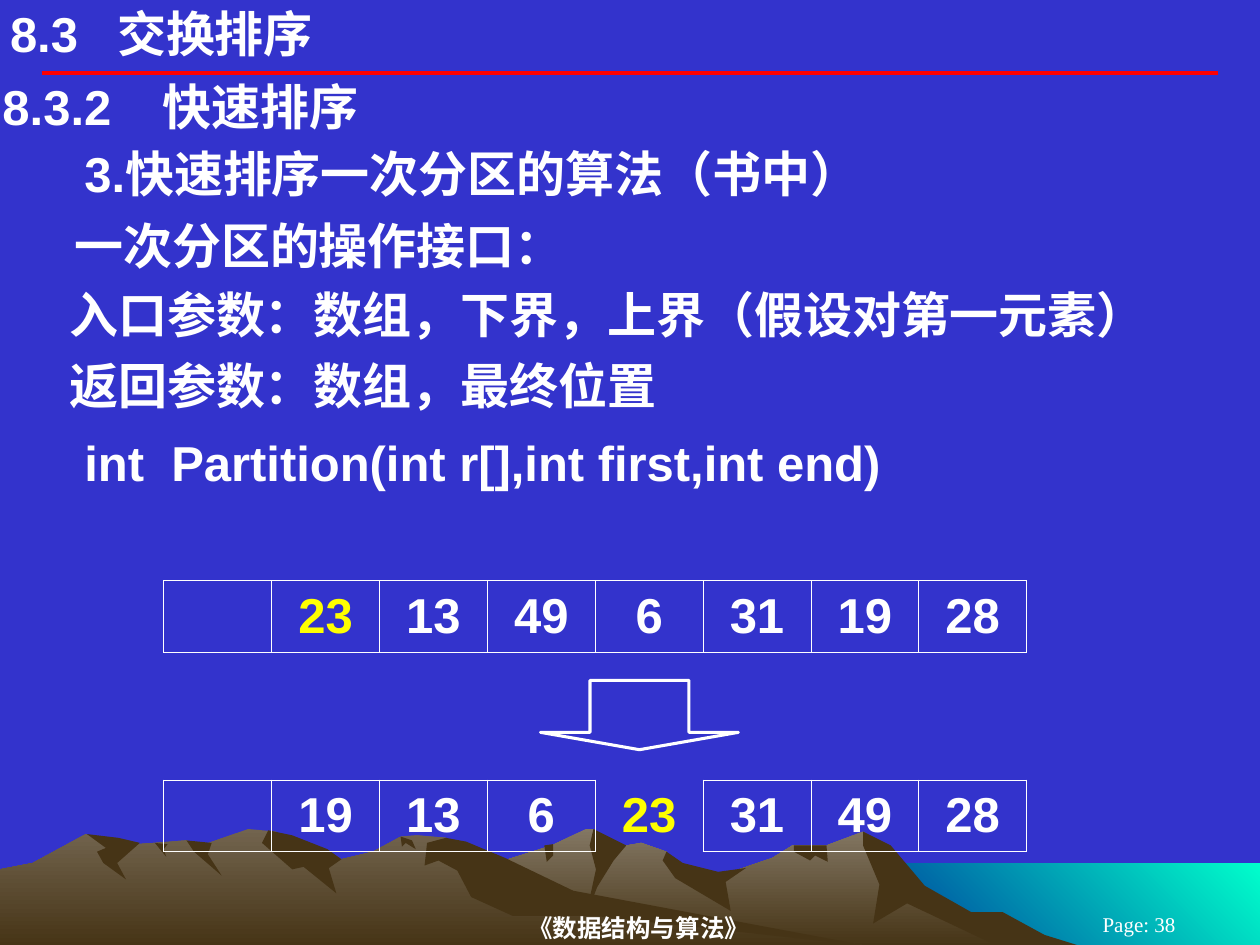
from lxml import etree
from pptx import Presentation
from pptx.dml.color import RGBColor
from pptx.enum.shapes import MSO_CONNECTOR, MSO_SHAPE
from pptx.enum.text import MSO_ANCHOR, PP_ALIGN
from pptx.oxml.ns import qn
from pptx.util import Inches, Pt

DOWN, BOX = MSO_SHAPE.DOWN_ARROW, MSO_SHAPE.RECTANGLE
LINE = MSO_CONNECTOR.STRAIGHT
TOP, MID = MSO_ANCHOR.TOP, MSO_ANCHOR.MIDDLE
LEFT, CENTER = PP_ALIGN.LEFT, PP_ALIGN.CENTER
WHITE, GOLD, RED, BLUE = "FFFFFF", "FFFF00", "FF0000", "3333CC"
BROWN, SAND, EARTH, AQUA, NAVY = "463416", "837763", "72644E", "00FFCC", "003399"
HEAD = {"name": "Arial", "size": Pt(28), "bold": True}
FOOT = {"name": "Times New Roman", "size": Pt(14), "bold": True}
PAGE = {"name": "Times New Roman", "size": Pt(12), "bold": False}

WIDE, HIGH, FLOOR = 10, 7.5, 7.51
SIDE, ROW = 1.3, 0.57
LATIN, HAN = 0.65, 0.53
PIVOT = "23"
BEFORE = ["", PIVOT, "13", "49", "6", "31", "19", "28"]
AFTER = ["", "19", "13", "6", PIVOT, "31", "49", "28"]

EAST = {
    "crest": [(2.58, FLOOR), (3.27, 7.09), (3.94, 6.85), (4.38, 6.71), (4.65, 6.58), (4.71, 6.58),
              (4.86, 6.73), (5.09, 6.69), (5.29, 6.76), (5.36, 6.9), (5.66, 6.97), (6.13, 6.81),
              (6.29, 6.71), (6.56, 6.71), (6.85, 6.6), (7.02, 6.71), (7.23, 6.98), (7.64, 7.23),
              (8.02, 7.4), (8.21, FLOOR)],
    "slope": [(6.85, 6.6), (7.07, 6.71), (7.34, 7.03), (7.71, 7.24), (7.96, 7.24), (8.29, 7.42),
              (8.58, FLOOR), (7.92, FLOOR), (7.2, 7.17), (6.93, 7.33), (6.98, 7.02), (6.85, 6.71)],
    "cliff": [(4.71, 6.58), (4.97, 6.71), (4.87, 6.83), (4.74, 7.04), (4.65, 7.27), (4.73, 6.9),
              (4.68, 6.71)],
    "gully": [(5.29, 6.76), (5.42, 6.85), (5.7, 6.92), (5.92, 6.89), (5.76, 7), (5.8, 7.23),
              (5.36, 6.97), (5.26, 6.83)],
    "notch": [(6.3, 6.71), (6.56, 6.71), (6.57, 6.84), (6.47, 6.79), (6.43, 6.83), (6.3, 6.76)],
    "crack": [(4.32, 6.71), (4.39, 6.7), (4.39, 6.79), (4.34, 6.84)],
}
WEST = {
    "crest": [(0, 6.9), (0.26, 6.85), (0.68, 6.62), (0.94, 6.71), (1.23, 6.69), (1.48, 6.67),
              (1.6, 6.71), (1.97, 6.58), (2.19, 6.6), (2.36, 6.81), (2.6, 6.76), (2.71, 6.82),
              (2.96, 6.76), (3.18, 6.64), (3.31, 6.63), (3.54, 6.65), (4.32, 7.12), (6.9, FLOOR)],
    "slope": [(3.54, 6.65), (3.7, 6.68), (4.01, 6.81), (4.55, 7.07), (6.9, FLOOR), (4.72, 7.27),
              (4.07, 7.27), (3.74, 7.12), (3.63, 6.91), (3.48, 6.83), (3.37, 6.87), (3.39, 6.69)],
    "cliff": [(2.13, 6.59), (2.32, 6.63), (2.6, 6.74), (2.71, 6.82), (2.61, 6.89), (2.67, 7.09),
              (2.41, 6.88), (2.32, 6.9), (2.08, 6.69)],
    "gully": [(0.69, 6.62), (0.94, 6.65), (1.11, 6.69), (0.93, 6.85), (1, 6.98), (0.82, 6.85),
              (0.77, 6.76), (0.84, 6.73)],
    "notch": [(1.48, 6.67), (1.68, 6.69), (1.65, 6.78), (1.76, 6.95), (1.54, 6.76)],
    "crack": [(3.18, 6.64), (3.27, 6.67), (3.3, 6.74), (3.22, 6.69), (3.19, 6.72)],
    "chip": [(1.23, 6.69), (1.33, 6.7), (1.3, 6.74), (1.32, 6.8)],
}


def hue(code):
    return RGBColor.from_string(code)


def style(font, form, code=WHITE):
    for key, value in form.items():
        setattr(font, key, value)
    font.color.rgb = hue(code)


def paint(shape, codes, angle=270):
    shape.shadow.inherit = False
    shape.line.fill.background()
    if len(codes) == 1:
        shape.fill.solid()
        shape.fill.fore_color.rgb = hue(codes[0])
        return
    shape.fill.gradient()
    shape.fill.gradient_angle = angle
    for place, (stop, code) in enumerate(zip(shape.fill.gradient_stops, codes)):
        stop.color.rgb = hue(code)
        stop.position = place


def rock(slide, spots, *codes):
    first, *rest = [(round(x * 100), round(y * 100)) for x, y in spots]
    pen = slide.shapes.build_freeform(*first, scale=Inches(0.01))
    pen.add_line_segments(rest, close=True)
    paint(pen.convert_to_shape(), codes)


def hill(slide, parts, light):
    for name, spots in parts.items():
        if name == "crest":
            base = [(spots[-1][0], FLOOR), (spots[0][0], FLOOR)]
            rock(slide, spots + base, light, BROWN)
        else:
            rock(slide, spots, BROWN)


def sea(slide, left, top):
    area = map(Inches, (left, top, WIDE - left, HIGH - top))
    paint(slide.shapes.add_shape(BOX, *area), (AQUA, NAVY), 225)


def label(slide, area, text, form, pads=(0.02, 0.01), indent=0, tab=0, align=LEFT, anchor=TOP):
    frame = slide.shapes.add_textbox(*map(Inches, area)).text_frame
    across, down = map(Inches, pads)
    look = {"word_wrap": True, "vertical_anchor": anchor, "margin_left": across,
            "margin_right": across, "margin_top": down, "margin_bottom": down}
    for key, value in look.items():
        setattr(frame, key, value)
    para = frame.paragraphs[0]
    para.alignment = align
    props = para._p.get_or_add_pPr()
    props.set("marL", str(Inches(indent)))
    if tab:
        stops = etree.SubElement(props, qn("a:tabLst"))
        etree.SubElement(stops, qn("a:tab"), pos=str(Inches(tab)), algn="l")
    run = para.add_run()
    run.text = text
    style(run.font, form)


def rule(slide, left, top):
    ends = map(Inches, (left, top, WIDE - left, top))
    line = slide.shapes.add_connector(LINE, *ends)
    line.line.color.rgb = hue(RED)
    line.line.width = Pt(2.25)
    etree.SubElement(line._element.spPr, qn("a:effectLst"))


def edge(cell, shown):
    props = cell._tc.get_or_add_tcPr()
    for spot, side in enumerate("LRTB"):
        line = etree.Element(qn(f"a:ln{side}"), w=str(Pt(0.45)))
        if side in shown:
            fill = etree.SubElement(line, qn("a:solidFill"))
            etree.SubElement(fill, qn("a:srgbClr"), val=WHITE)
        else:
            etree.SubElement(line, qn("a:noFill"))
        props.insert(spot, line)


def array(slide, top, items, split=False):
    area = map(Inches, (SIDE, top, 6.85, ROW))
    table = slide.shapes.add_table(1, len(items), *area).table
    table.first_row = table.horz_banding = False
    for cell, item in zip(table.rows[0].cells, items):
        pivot = item == PIVOT
        cell.fill.background()
        cell.vertical_anchor = MID
        edge(cell, "LR" if split and pivot else "LRTB")
        if item:
            cell.text = item
            para = cell.text_frame.paragraphs[0]
            para.alignment = CENTER
            style(para.runs[0].font, HEAD, GOLD if pivot else WHITE)


def arrow(slide, area):
    shape = slide.shapes.add_shape(DOWN, *map(Inches, area))
    shape.adjustments[0], shape.adjustments[1] = 0.5, 0.25
    shape.shadow.inherit = False
    shape.fill.background()
    shape.line.color.rgb = hue(WHITE)
    shape.line.width = Pt(1.75)


def main():
    deck = Presentation()
    deck.slide_width, deck.slide_height = Inches(WIDE), Inches(HIGH)
    slide = deck.slides.add_slide(deck.slide_layouts[6])
    slide.background.fill.solid()
    slide.background.fill.fore_color.rgb = hue(BLUE)
    sea(slide, 6.83, 6.85)
    hill(slide, EAST, SAND)
    hill(slide, WEST, EARTH)
    rule(slide, 0.33, 0.58)
    mid = {"align": CENTER, "anchor": MID}
    label(slide, (2.08, 7.22, 5.98, 0.28), "《数据结构与算法》", FOOT, (0, 0.01), **mid)
    label(slide, (8.25, 7.25, 1.58, 0.17), "Page: 38", PAGE, (0.1, 0.05), **mid)
    label(slide, (0.08, 0.03, 6.5, 0.47), "8.3\t交换排序", HEAD, (0, 0), tab=0.85)
    lines = [
        (0, 0.6, "8.3.2\t快速排序", 0, 1.27),
        (0, 1.13, "3.快速排序一次分区的算法（书中）", LATIN, 0),
        (0.04, 1.7, "一次分区的操作接口：", HAN, 0),
        (0, 2.25, "入口参数：数组，下界，上界（假设对第一元素）", HAN, 0),
        (0, 2.81, "返回参数：数组，最终位置", HAN, 0),
        (0, 3.42, "int  Partition(int r[],int first,int end)", LATIN, 0),
    ]
    for left, top, text, indent, tab in lines:
        label(slide, (left, top, WIDE, 0.49), text, HEAD, indent=indent, tab=tab)
    array(slide, 4.61, BEFORE)
    array(slide, 6.19, AFTER, split=True)
    arrow(slide, (4.29, 5.4, 1.57, 0.55))
    deck.save("out.pptx")


if __name__ == "__main__":
    main()
